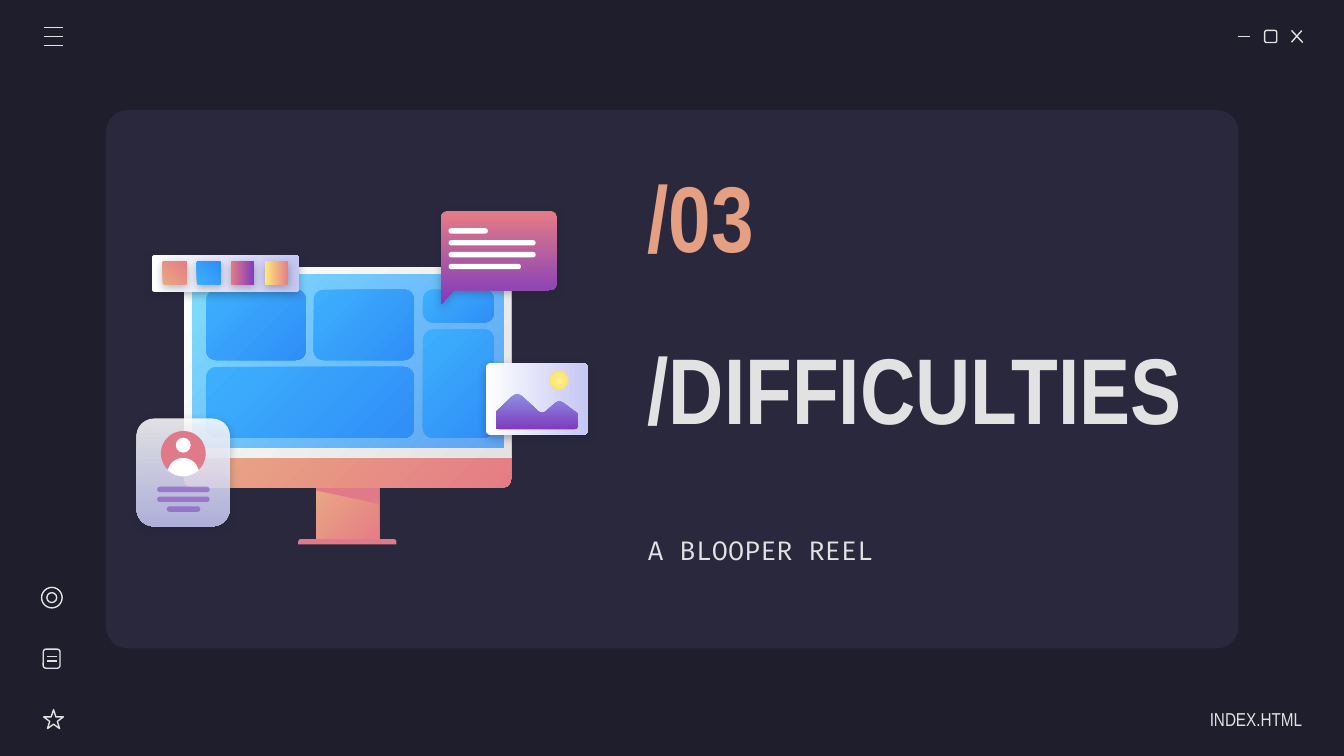
import math
from lxml import etree
from pptx import Presentation
from pptx.dml.color import RGBColor
from pptx.enum import shapes as kinds, text
from pptx.oxml import ns
from pptx.util import Pt

LIGHT, DARK, PANEL, PEACH = "E2E2E2", "1E1E2C", "29283D", "E5A083"
WHITE, ROSE, PURPLE = "FFFFFF", "E07A88", "7E3BBE"
RECT, ROUND = kinds.MSO_SHAPE.RECTANGLE, kinds.MSO_SHAPE.ROUNDED_RECTANGLE
TOP_ROUND = kinds.MSO_SHAPE.ROUND_2_SAME_RECTANGLE
OVAL, STAR = kinds.MSO_SHAPE.OVAL, kinds.MSO_SHAPE.STAR_5_POINT

# Gradients: start, end, clockwise angle (None is radial), opacity of each stop
CORAL = ("E9A984", "E57C85", 45, (100, 100))
BLUE = ("3DB0FD", "308EF7", 45, (100, 100))
SKY = ("80DFFF", "318FFA", 45, (100, 72))
SILVER = (WHITE, LIGHT, 45, (100, 100))
LAVENDER = (WHITE, "C5C7F4", 90, (100, 100))
GLASS = (WHITE, "C5C7F4", 90, (86, 86))
BERRY = ("E57C85", PURPLE, 90, (100, 100))
VIOLET = ("8D90E1", PURPLE, 90, (100, 100))
AMBER = ("FFEA7D", "E57C85", 90, (100, 100))
SUN = ("FFF68E", "FFD966", None, (100, 100))

# Icon lines: x1, y1, x2, y2. Icon outlines: preset, box, corner radius
WINDOW_LINES = [(663.1, 19.6, 669.6, 19.6), (691.9, 16.3, 697.9, 22.8),
                (697.4, 16.4, 691.9, 22.6)]
WINDOW_OUTLINES = [(ROUND, (677.5, 16.3, 6.5, 6.5), 1.1)]
MENU_LINES = [(23.4, y, 34, y) for y in (14.8, 19.6, 24.4)]
SIDE_LINES = [(25.2, y, 30.3, y) for y in (351.6, 354.2)]
SIDE_OUTLINES = [(STAR, (23.4, 380.2, 10.6, 10.2), None),
                 (ROUND, (23.2, 347.8, 9, 10.2), 1.5),
                 (OVAL, (22.3, 314.7, 11, 11), None),
                 (OVAL, (25.1, 317.5, 5.3, 5.3), None)]

TILES = [(110.4, 155.1, 53.5, 37.8), (110.4, 196.6, 111.4, 38),
         (168, 155.1, 53.8, 37.8), (226.6, 155.1, 38, 17.7),
         (226.6, 176.5, 38, 58.1)]
FACET = [(169.4, 260.6, 0), (169.4, 262.8, 0), (203.1, 270, 0), (203.1, 260.6, 0)]
BUBBLE = [(236, 113, 4.7), (298.6, 113, 4.7), (298.6, 155.4, 4.7),
          (243.2, 155.4, 0), (236, 163.4, 1)]
MOUNTAINS = [(265.6, 220.8, 1), (277, 209.8, 3.5), (290.3, 222.2, 3),
             (299.6, 214.2, 3), (309.4, 221.6, 1), (309.4, 230.1, 2.5),
             (265.6, 230.1, 2.5)]
BUBBLE_LINES = [21.1, 46.7, 46.7, 38.8]
CARD_LINES = [(84.2, 28.1), (84.2, 28.1), (89.3, 18)]
SWATCHES = [CORAL, BLUE, BERRY, AMBER]

TITLE = ("/DIFFICULTIES", (339.8, 148.3, 309.6, 118.1), 50, "Arial Narrow", LIGHT)
TEXTS = [("INDEX.HTML", (613.4, 374.6, 84.2, 21.4), 10, "Arial Narrow", LIGHT),
         ("/03", (339.8, 82.1, 128.2, 66.2), 50, "Arial Narrow", PEACH),
         ("A BLOOPER REEL", (339.8, 266.4, 287.3, 56.2), 14, "Fira Code", LIGHT)]


def rgb(value):
    return RGBColor.from_string(value)


def points(values):
    return [Pt(value) for value in values]


def add_xml(parent, tag, **attributes):
    return etree.SubElement(parent, ns.qn(tag), attributes)


def set_opacity(fill_element, percent):
    for color in fill_element.iter(ns.qn("a:srgbClr")):
        add_xml(color, "a:alpha", val=str(percent * 1000))


def style(shape, fill=None, line=None, shadow=False, opacity=100):
    shape.shadow.inherit = False
    properties = shape.element.spPr
    if fill is None:
        shape.fill.background()
    elif isinstance(fill, str):
        shape.fill.solid()
        shape.fill.fore_color.rgb = rgb(fill)
        if opacity < 100:
            set_opacity(properties.find(ns.qn("a:solidFill")), opacity)
    else:
        *colors, angle, opacities = fill
        shape.fill.gradient()
        gradient = properties.find(ns.qn("a:gradFill"))
        for stop, color, percent in zip(shape.fill.gradient_stops, colors, opacities):
            stop.color.rgb = rgb(color)
        for stop, percent in zip(gradient.iter(ns.qn("a:gs")), opacities):
            if percent < 100:
                set_opacity(stop, percent)
        if angle is None:
            gradient.remove(gradient.find(ns.qn("a:lin")))
            radial = add_xml(gradient, "a:path", path="circle")
            add_xml(radial, "a:fillToRect", **dict.fromkeys("ltrb", "50000"))
        else:
            shape.fill.gradient_angle = 360 - angle
    if line:
        shape.line.color.rgb = rgb(line)
        shape.line.width = Pt(0.75)
    else:
        shape.line.fill.background()
    if shadow:
        effects = properties.find(ns.qn("a:effectLst"))
        outer = add_xml(effects, "a:outerShdw", blurRad=str(Pt(4.5)), dist=str(Pt(1.5)),
                        dir="5400000", algn="bl", rotWithShape="0")
        add_xml(add_xml(outer, "a:srgbClr", val=DARK), "a:alpha", val="30000")


def add_preset(shapes, preset, box, fill=None, radius=None, rotation=0, **options):
    shape = shapes.add_shape(preset, *points(box))
    if radius is not None:
        shape.adjustments[0] = radius / min(box[2:])
    shape.rotation = rotation
    style(shape, fill, **options)
    return shape


def add_pill(shapes, left, top, width, fill, **options):
    add_preset(shapes, ROUND, (left, top, width, 2.9), fill, 1.45, **options)


def add_outline(shapes, vertices, fill, **options):
    start, *rest = [points(vertex) for vertex in vertices]
    builder = shapes.build_freeform(*start, scale=1.0)
    builder.add_line_segments(rest, close=True)
    style(builder.convert_to_shape(), fill, **options)


def round_corners(corners, steps=8):
    """Turn (x, y, radius) corners into points along quadratic curves."""
    outline = []
    for i, (x, y, radius) in enumerate(corners):
        if not radius:
            outline.append((x, y))
            continue
        ends = []
        for nx, ny, _ in (corners[i - 1], corners[(i + 1) % len(corners)]):
            share = radius / math.hypot(nx - x, ny - y)
            ends.append((x + (nx - x) * share, y + (ny - y) * share))
        for step in range(steps + 1):
            t = step / steps
            outline.append(tuple((1 - t) ** 2 * a + 2 * t * (1 - t) * b + t * t * c
                                 for a, b, c in zip(ends[0], (x, y), ends[1])))
    return outline


def arc(x, y, radius, start, end, steps=24):
    angles = [math.radians(start + (end - start) * i / steps) for i in range(steps + 1)]
    return [(x + radius * math.cos(a), y + radius * math.sin(a)) for a in angles]


def add_icons(shapes, lines, outlines=()):
    for line in lines:
        connector = shapes.add_connector(kinds.MSO_CONNECTOR.STRAIGHT, *points(line))
        connector.line.color.rgb = rgb(LIGHT)
        connector.line.width = Pt(0.75)
        add_xml(connector.element.spPr, "a:effectLst")
    for preset, box, radius in outlines:
        add_preset(shapes, preset, box, radius=radius, line=LIGHT)


def write(shape, words, box, size, font, color):
    shape.left, shape.top, shape.width, shape.height = points(box)
    frame = shape.text_frame
    frame.text = words
    frame.word_wrap = True
    frame.auto_size = text.MSO_AUTO_SIZE.NONE
    frame.vertical_anchor = text.MSO_ANCHOR.MIDDLE
    right = words == "INDEX.HTML"
    frame.margin_left = frame.margin_top = frame.margin_bottom = Pt(7.2)
    frame.margin_right = Pt(0 if right else 7.2)
    paragraph = frame.paragraphs[0]
    paragraph.alignment = text.PP_ALIGN.RIGHT if right else text.PP_ALIGN.LEFT
    paragraph.font.name, paragraph.font.size = font, Pt(size)
    paragraph.font.bold = size == 50
    paragraph.font.color.rgb = rgb(color)


presentation = Presentation()
presentation.slide_width, presentation.slide_height = Pt(720), Pt(405)
slide = presentation.slides.add_slide(presentation.slide_layouts[5])
slide.background.fill.solid()
slide.background.fill.fore_color.rgb = rgb(DARK)


def new_group():
    return slide.shapes.add_group_shape().shapes


add_preset(slide.shapes, ROUND, (56.8, 59, 606.6, 288.4), PANEL, 11.5)
add_icons(new_group(), WINDOW_LINES, WINDOW_OUTLINES)
add_icons(new_group(), MENU_LINES)
add_icons(new_group(), SIDE_LINES, SIDE_OUTLINES)

title = slide.shapes.title
title.element.getparent().append(title.element)
write(title, *TITLE)
for words, box, *look in TEXTS:
    write(slide.shapes.add_textbox(*points(box)), words, box, *look)

monitor = new_group()
add_preset(monitor, RECT, (169.4, 260, 33.7, 31), CORAL)
add_preset(monitor, TOP_ROUND, (159.8, 288.8, 52.6, 2.9), ROSE, 1.4)
add_outline(monitor, round_corners(FACET), ROSE)
chin = add_preset(monitor, TOP_ROUND, (98.6, 244.1, 175.2, 17.2), CORAL, 0)
chin.adjustments[1] = 0.27
add_preset(monitor, TOP_ROUND, (98.6, 143.2, 175.2, 101.9), SILVER, 4.7)
add_preset(monitor, RECT, (102.9, 147.3, 166.6, 92.7), SKY)
for tile in TILES:
    add_preset(monitor, ROUND, tile, BLUE, 5.4)

message = new_group()
add_outline(message, round_corners(BUBBLE), BERRY, shadow=True)
for i, width in enumerate(BUBBLE_LINES):
    add_pill(message, 240.3, 122.3 + 6.35 * i, width, WHITE)

card = new_group()
add_preset(card, ROUND, (73.2, 224.2, 49.9, 57.8), GLASS, 9.3, shadow=True)
add_preset(card, OVAL, (86.2, 230.9, 24, 24), ROSE)
add_preset(card, OVAL, (94.2, 234.5, 8, 8), WHITE)
add_outline(card, arc(98.2, 253.9, 8.5, 192, 348) + arc(98.2, 243.2, 12, 46, 134), WHITE)
for i, (left, width) in enumerate(CARD_LINES):
    add_pill(card, left, 260.8 + 5.25 * i, width, PURPLE, opacity=54)

photo = new_group()
add_preset(photo, ROUND, (268.2, 186.4, 38.7, 54.7), LAVENDER, 2.8, 270, shadow=True)
add_outline(photo, round_corners(MOUNTAINS), VIOLET)
add_preset(photo, OVAL, (294.4, 198.7, 10.1, 10.1), SUN)

palette = new_group()
add_preset(palette, ROUND, (110.9, 107.1, 19.8, 78.8), LAVENDER, 1.4, 270, shadow=True)
for i, fill in enumerate(SWATCHES):
    add_preset(palette, ROUND, (87.3 + 18.2 * i, 139.8, 12.6, 12.9), fill, 0.9, 270,
               shadow=True)

presentation.save("out.pptx")
